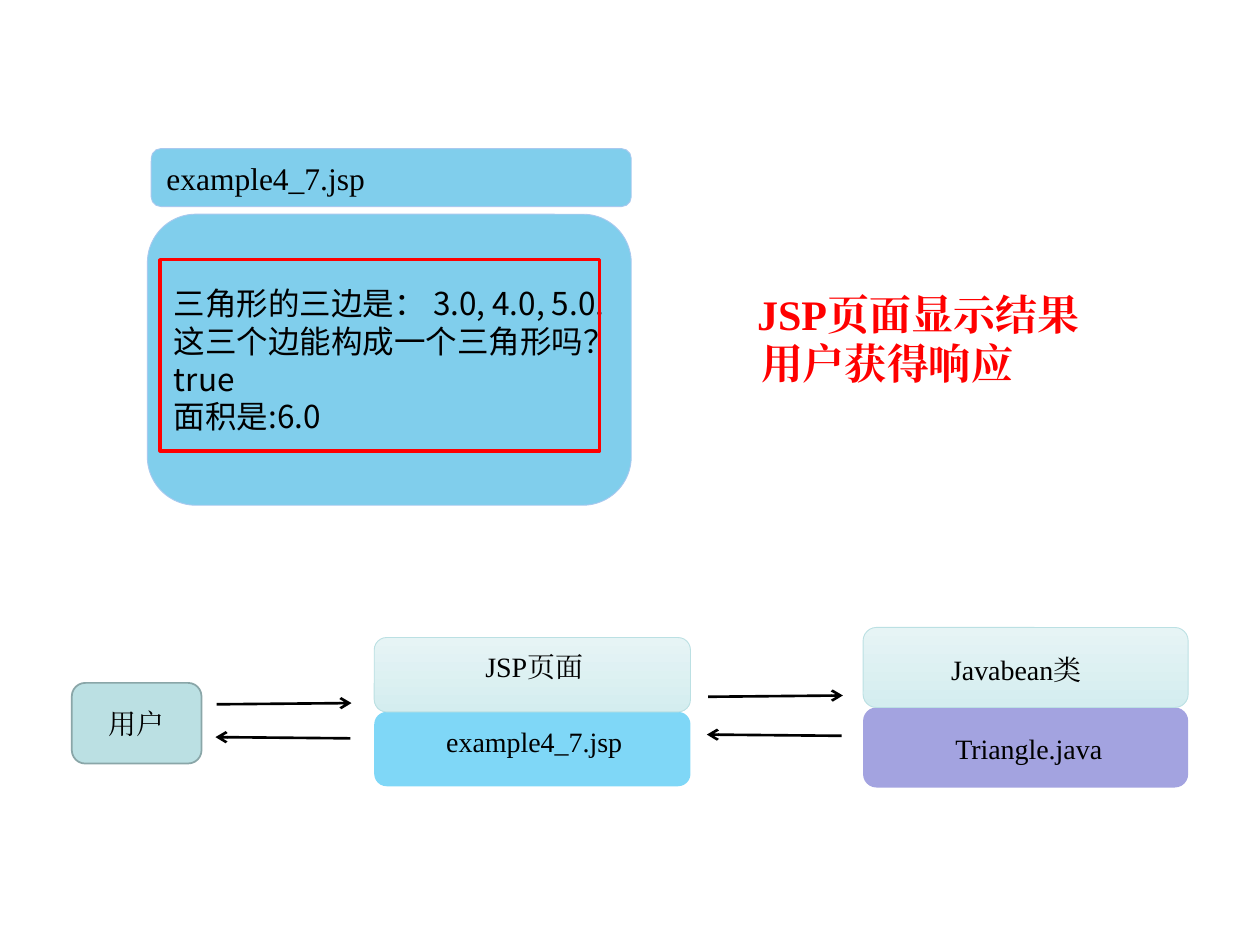
from lxml import etree
from pptx import Presentation
from pptx.dml.color import RGBColor
from pptx.enum.shapes import MSO_CONNECTOR, MSO_SHAPE
from pptx.enum.text import MSO_ANCHOR, PP_ALIGN
from pptx.oxml.ns import qn
from pptx.util import Inches, Pt

ROUNDED, RECTANGLE = MSO_SHAPE.ROUNDED_RECTANGLE, MSO_SHAPE.RECTANGLE
STRAIGHT = MSO_CONNECTOR.STRAIGHT
LEFT, CENTER = PP_ALIGN.LEFT, PP_ALIGN.CENTER
TOP, MIDDLE = MSO_ANCHOR.TOP, MSO_ANCHOR.MIDDLE

BLACK = RGBColor(0x00, 0x00, 0x00)
RED = RGBColor(0xFF, 0x00, 0x00)
PANEL_BLUE = RGBColor(0x80, 0xCE, 0xEC)
PANEL_EDGE = RGBColor(0xA8, 0xC9, 0xEF)
USER_TEAL = RGBColor(0xBB, 0xE0, 0xE3)
USER_EDGE = RGBColor(0x8A, 0xA6, 0xA8)
HEADER_TOP = RGBColor(0xE6, 0xF4, 0xF5)
HEADER_BOTTOM = RGBColor(0xD4, 0xED, 0xEF)
JSP_BLUE = RGBColor(0x00, 0xB0, 0xF0)
BEAN_PURPLE = RGBColor(0xA3, 0xA3, 0xE0)

SERIF, SANS = "Times New Roman", "Noto Sans CJK SC"
SLIDE_WIDTH, SLIDE_HEIGHT = Inches(10), Inches(7.5)
COLUMN, ROW = SLIDE_WIDTH / 100, SLIDE_HEIGHT / 75


def grid(box):
    """Turn left, top, width, height in columns and rows into slide lengths."""
    left, top, width, height = box
    return (round(left * COLUMN), round(top * ROW),
            round(width * COLUMN), round(height * ROW))


def inside(region, left, top, width, height):
    """Shift a box given relative to its region onto the slide grid."""
    return region[0] + left, region[1] + top, width, height


def write(shape, text, size, font=SERIF, color=BLACK, align=CENTER, anchor=MIDDLE, bold=False):
    frame = shape.text_frame
    frame.word_wrap = True
    frame.vertical_anchor = anchor
    paragraph = frame.paragraphs[0]
    paragraph.text = text
    paragraph.alignment = align
    paragraph.font.name = font
    paragraph.font.size = Pt(size)
    paragraph.font.bold = bold
    paragraph.font.color.rgb = color
    properties = paragraph.font._element
    etree.SubElement(properties, qn("a:ea")).set("typeface", font)


def add_label(slide, box, text, size=16, **style):
    write(slide.shapes.add_textbox(*grid(box)), text, size, anchor=TOP, **style)


def add_block(slide, box, fill=None, edge=None, edge_width=0.5, preset=ROUNDED):
    shape = slide.shapes.add_shape(preset, *grid(box))
    shape.shadow.inherit = False
    if fill is None:
        shape.fill.background()
    else:
        shape.fill.solid()
        shape.fill.fore_color.rgb = fill
    if edge is None:
        shape.line.fill.background()
    else:
        shape.line.color.rgb = edge
        shape.line.width = Pt(edge_width)
    return shape


def add_arrow(slide, start, end):
    points = [round(value * unit) for point in (start, end)
              for value, unit in zip(point, (COLUMN, ROW))]
    arrow = slide.shapes.add_connector(STRAIGHT, *points)
    arrow.line.color.rgb = BLACK
    arrow.line.width = Pt(1.5)
    etree.SubElement(arrow.line._get_or_add_ln(), qn("a:tailEnd")).set("type", "arrow")
    etree.SubElement(arrow._element.spPr, qn("a:effectLst"))


def add_output_panel(slide, region):
    output = add_block(slide, inside(region, 0, 5.2, 38.4, 23.1), PANEL_BLUE, PANEL_EDGE)
    write(output, "三角形的三边是： 3.0, 4.0, 5.0.\v这三个边能构成一个三角形吗？true\v面积是:6.0",
          18, SANS, align=LEFT)
    file_bar = add_block(slide, inside(region, 0.3, 0, 38.1, 4.6), PANEL_BLUE, PANEL_EDGE)
    write(file_bar, "example4_7.jsp", 18, align=LEFT)
    add_block(slide, inside(region, 1, 8.8, 34.9, 15.2), edge=RED, edge_width=1.75,
              preset=RECTANGLE)


def add_message(slide, region):
    style = {"size": 24, "color": RED, "bold": True}
    add_label(slide, inside(region, 0, 3.9, 35, 5), "用户获得响应", **style)
    add_label(slide, inside(region, 6.2, 0, 29.5, 5), "JSP页面显示结果", align=LEFT, **style)


def add_exchange(slide, region):
    """Draw a request arrow to the right above a response arrow to the left."""
    left, top, width, height = region
    right, bottom = left + width, top + height
    add_arrow(slide, (left + 0.1, top + 0.1), (right, top))
    add_arrow(slide, (right - 0.1, bottom), (left, bottom - 0.1))


def add_component(slide, region, color, header, body, alpha=100):
    """Stack a gradient header on a coloured body; each label is (text, box)."""
    left, top, width, height = region
    half = height / 2
    lower = add_block(slide, (left, top + half, width, half), color)
    if alpha < 100:
        solid_color = lower._element.spPr.find(qn("a:solidFill"))[0]
        etree.SubElement(solid_color, qn("a:alpha")).set("val", str(alpha * 1000))
    upper = add_block(slide, (left, top, width, half), HEADER_TOP, USER_TEAL)
    upper.fill.gradient()
    upper.fill.gradient_angle = 270
    for stop, stop_color in zip(upper.fill.gradient_stops, (HEADER_TOP, HEADER_BOTTOM)):
        stop.color.rgb = stop_color
    for text, box in (header, body):
        add_label(slide, inside(region, *box), text)


def add_flow(slide, region):
    add_exchange(slide, inside(region, 11.4, 6, 10.8, 2.8))
    add_exchange(slide, inside(region, 50.4, 5.4, 10.8, 3.2))
    user = add_block(slide, inside(region, 0, 4.4, 10.3, 6.4), USER_TEAL, USER_EDGE, 1)
    write(user, "用户", 16)
    add_component(slide, inside(region, 24, 0.8, 25.1, 11.8), JSP_BLUE,
                  ("JSP页面", (7.3, 0.5, 10.8, 3.7)),
                  ("example4_7.jsp", (-1.7, 6.4, 28.8, 3.7)), alpha=50)
    add_component(slide, inside(region, 62.8, 0, 25.8, 12.7), BEAN_PURPLE,
                  ("Javabean类", (5.3, 1.5, 13.7, 3.7)),
                  ("Triangle.java", (5.9, 7.8, 14.5, 3.7)))


def main():
    presentation = Presentation()
    presentation.slide_width, presentation.slide_height = SLIDE_WIDTH, SLIDE_HEIGHT
    slide = presentation.slides.add_slide(presentation.slide_layouts[6])
    add_output_panel(slide, (11.7, 11.8, 38.4, 28.3))
    add_message(slide, (52.9, 22.4, 35.7, 8.9))
    add_flow(slide, (5.7, 49.8, 88.6, 12.7))
    presentation.save("out.pptx")


if __name__ == "__main__":
    main()
